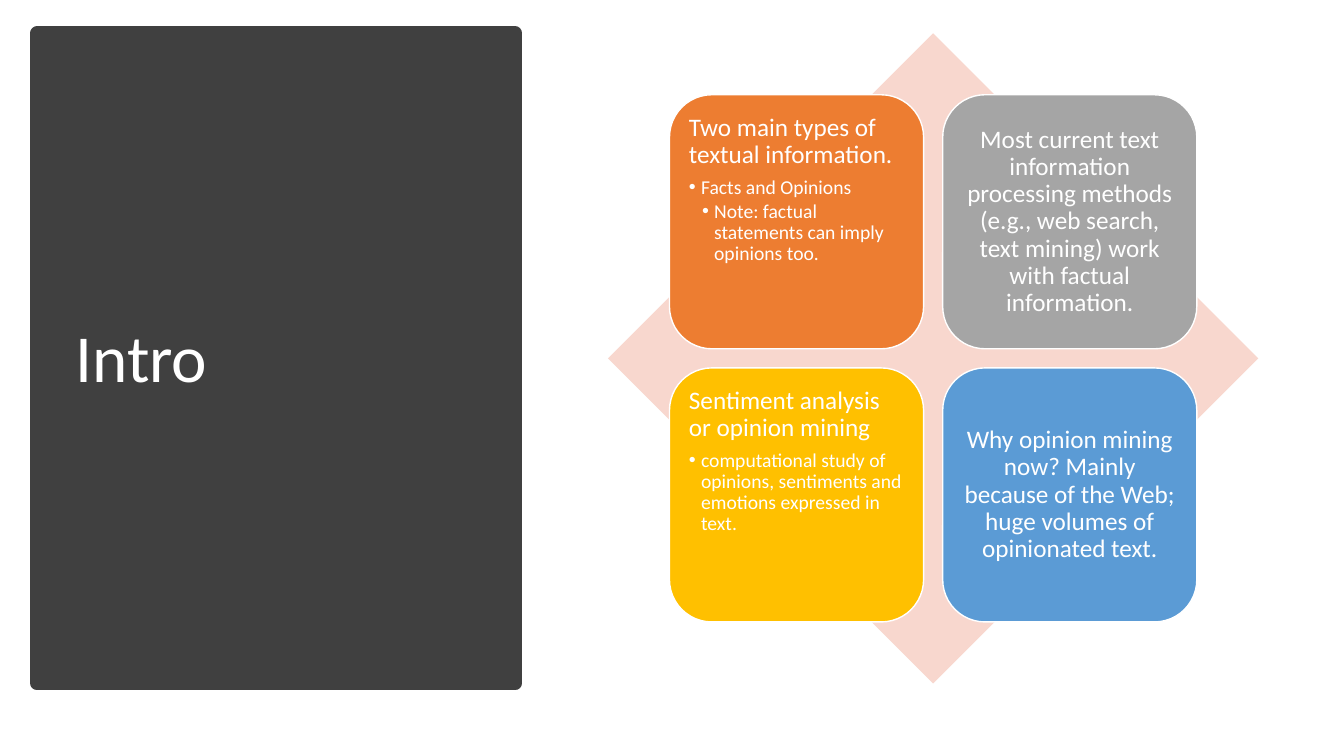
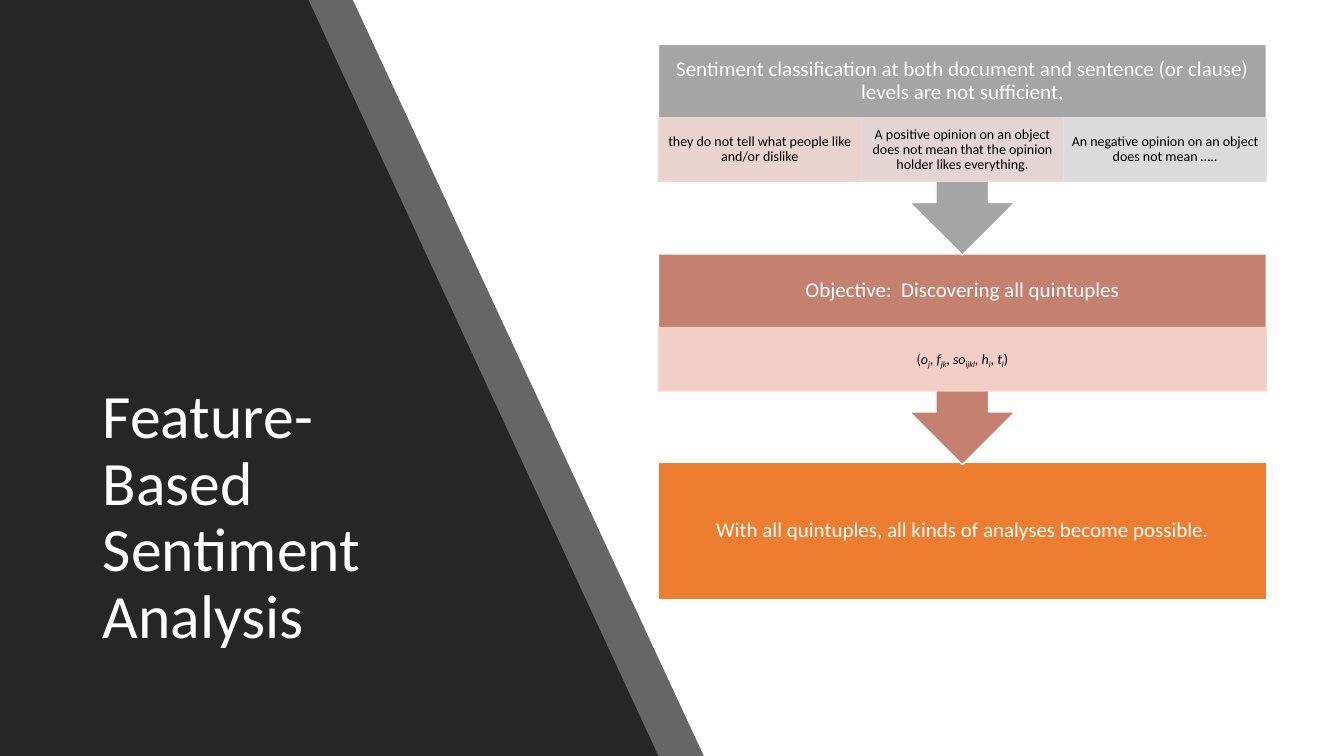
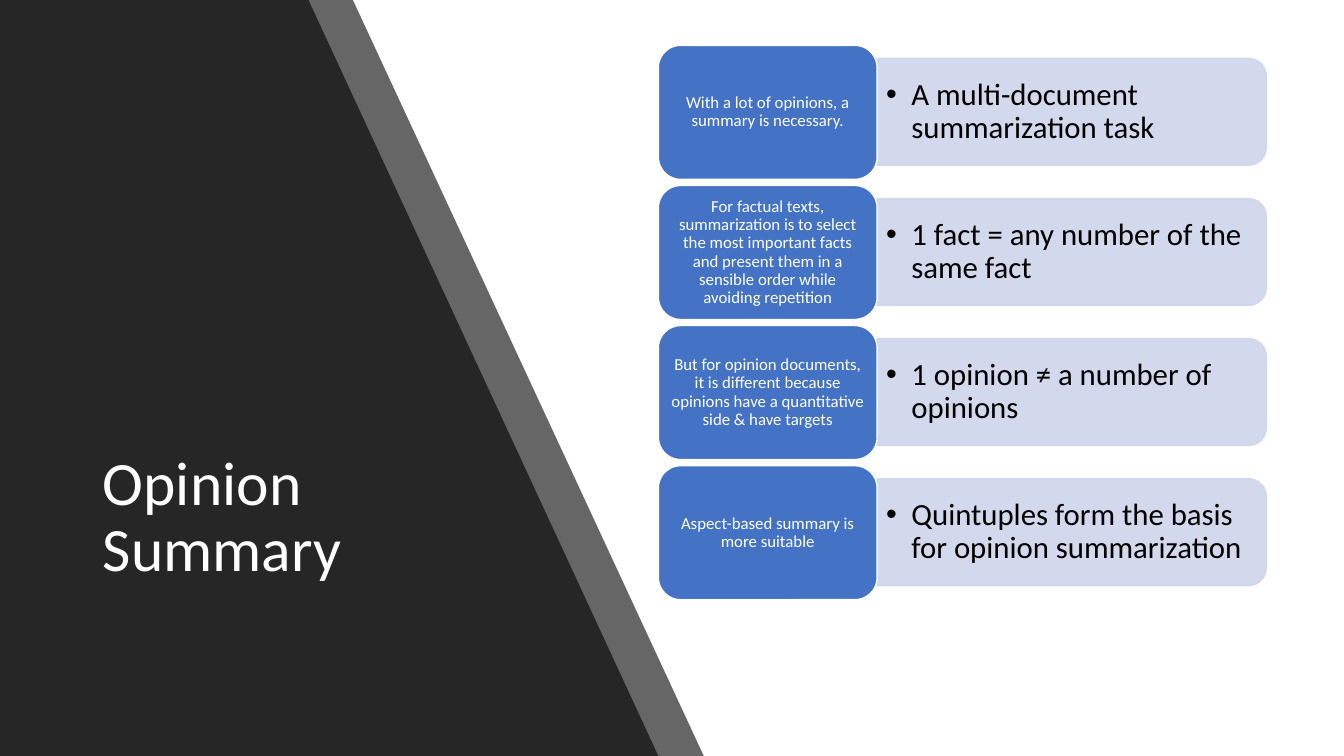
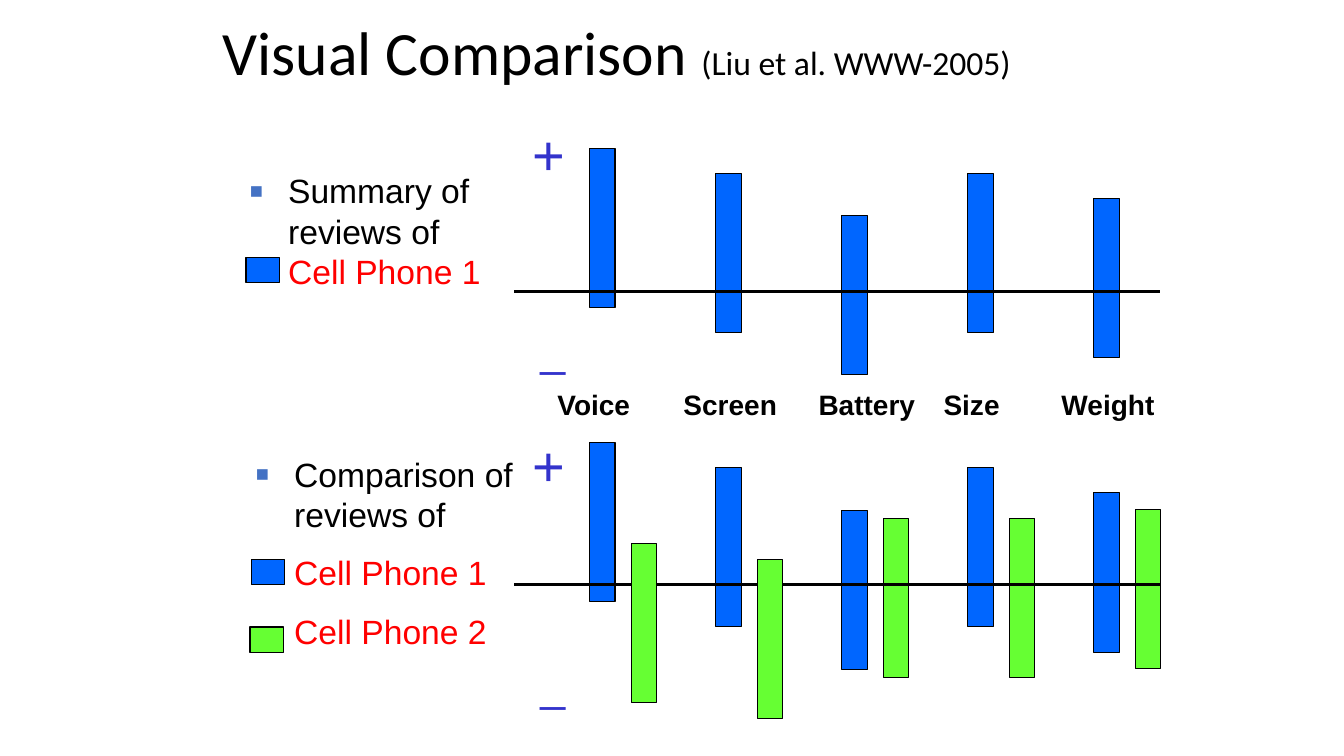
from lxml.etree import SubElement
from pptx import Presentation
from pptx.dml.color import RGBColor
from pptx.enum.shapes import MSO_CONNECTOR, MSO_SHAPE
from pptx.enum.text import MSO_ANCHOR, MSO_AUTO_SIZE, PP_ALIGN
from pptx.oxml.ns import qn
from pptx.util import Pt

PX = 9144  # EMU in one px, 100 px to the inch
WIDTH, HEIGHT = 1333, 750
COLOURS = {
    "white": "FFFFFF", "black": "000000", "panel": "404040", "band": "262626",
    "diamond": "F8D7CE", "orange": "ED7D31", "grey": "A5A5A5", "gold": "FFC000",
    "sky": "5B9BD5", "clay": "C48170", "rose": "F1D8D4", "blush": "E9DBDA",
    "silver": "E1E1E1", "blue": "4472C4", "lavender": "CFD5EA",
    "bar blue": "0066FF", "bar green": "66FF33", "red": "FF0000", "sign": "3333CC",
}


def rgb(name):
    return RGBColor.from_string(COLOURS[name])


class Deck:
    """The shared style and the slide being drawn."""

    def __init__(self):
        self.presentation = Presentation()
        self.presentation.slide_width = WIDTH * PX
        self.presentation.slide_height = HEIGHT * PX
        self.slide = None

    def new_slide(self):
        self.slide = self.presentation.slides.add_slide(self.presentation.slide_layouts[5])

    def title(self, box, runs, size=44, colour="white"):
        title = self.slide.shapes.title
        title.left, title.top, title.width, title.height = (value * PX for value in box)
        self.slide.shapes._spTree.append(title._element)  # in front of the panel
        self.frame(title, (10, 5))
        self.paragraph(title, runs, size, colour)

    def paint(self, shape, fill, line=None, line_width=1, alpha=100):
        shape.shadow.inherit = False
        shape.fill.solid()
        shape.fill.fore_color.rgb = rgb(fill)
        if line:
            shape.line.color.rgb = rgb(line)
            shape.line.width = Pt(line_width)
        else:
            shape.line.fill.background()
        if alpha < 100:
            for colour in shape._element.spPr.iter(qn("a:srgbClr")):
                SubElement(colour, qn("a:alpha"), val=str(alpha * 1000))

    def shape(self, kind, box, fill, line=None, line_width=1, alpha=100):
        shape = self.slide.shapes.add_shape(kind, *(value * PX for value in box))
        self.paint(shape, fill, line, line_width, alpha)
        return shape

    def band(self, bottom, top, alpha=100):
        builder = self.slide.shapes.build_freeform(0, HEIGHT, PX)
        builder.add_line_segments([(bottom, HEIGHT), (top, 0), (0, 0)], close=True)
        self.paint(builder.convert_to_shape(), "band", alpha=alpha)

    def band_slide(self, title):
        self.new_slide()
        self.band(698, 350, alpha=70)
        self.band(653, 306)
        self.title((92, 349, 358, 331), title)

    def line(self, left, right, y):
        line = self.slide.shapes.add_connector(
            MSO_CONNECTOR.STRAIGHT, left * PX, y * PX, right * PX, y * PX)
        line.line.color.rgb = rgb("black")
        line.line.width = Pt(2.25)
        SubElement(line._element.spPr, qn("a:effectLst"))

    def frame(self, shape, margins, anchor=MSO_ANCHOR.MIDDLE, extra_bottom=0):
        frame = shape.text_frame
        frame.word_wrap = True
        frame.auto_size = MSO_AUTO_SIZE.NONE
        frame.vertical_anchor = anchor
        side, end = margins
        frame.margin_left = frame.margin_right = side * PX
        frame.margin_top = end * PX
        frame.margin_bottom = (end + extra_bottom) * PX

    def text_box(self, box, margins=(10, 5), anchor=MSO_ANCHOR.TOP):
        shape = self.slide.shapes.add_textbox(*(value * PX for value in box))
        self.frame(shape, margins, anchor)
        return shape

    def paragraph(self, shape, runs, size, colour="white", font="Calibri", bold=None,
                  align=PP_ALIGN.LEFT, spacing=0.9, before=0, after=0,
                  left=0, hanging=0, bullet=None, bullet_colour=None, bullet_size=100):
        """Add a paragraph; runs is a string or a list of (text, changes)."""
        frame = shape.text_frame
        first = frame.paragraphs[0]
        paragraph = frame.add_paragraph() if first.runs else first
        paragraph.alignment = align
        paragraph.line_spacing = spacing
        paragraph.space_before, paragraph.space_after = Pt(before), Pt(after)
        properties = paragraph._p.get_or_add_pPr()
        properties.set("marL", str(left * PX))
        properties.set("indent", str(-hanging * PX))
        if bullet:
            holder = SubElement(properties, qn("a:buClr"))
            SubElement(holder, qn("a:srgbClr"), val=COLOURS[bullet_colour or colour])
            SubElement(properties, qn("a:buSzPct"), val=str(bullet_size * 1000))
            SubElement(properties, qn("a:buFont"), typeface="Arial")
            SubElement(properties, qn("a:buChar"), char=bullet)
        paragraph.font.name, paragraph.font.size = font, Pt(size)
        paragraph.font.bold = bold
        paragraph.font.color.rgb = rgb(colour)
        for text, changes in [(runs, {})] if isinstance(runs, str) else runs:
            if text == "\n":
                paragraph.add_line_break()
                continue
            run = paragraph.add_run()
            run.text = text
            if "size" in changes:
                run.font.size = Pt(changes["size"])
            if "colour" in changes:
                run.font.color.rgb = rgb(changes["colour"])
            if "italic" in changes:
                run.font.italic = True
            if "subscript" in changes:
                run.font._element.set("baseline", "-25000")

    def centred(self, shape, runs, size, margins, colour="white", extra_bottom=0):
        self.frame(shape, margins, extra_bottom=extra_bottom)
        self.paragraph(shape, runs, size, colour, align=PP_ALIGN.CENTER)


def intro(deck):
    deck.new_slide()
    deck.shape(MSO_SHAPE.RECTANGLE, (37, 33, 474, 645), "panel", "panel", 10)
    deck.title((65, 70, 416, 575), "Intro", 48)
    deck.shape(MSO_SHAPE.DIAMOND, (603, 33, 645, 645), "diamond")
    # Four tiles: colour, heading, bullets
    tiles = [
        ("orange", "Two main types of textual information.",
         ["Facts and Opinions", "Note: factual statements can imply opinions too."]),
        ("grey", "Most current text information processing methods "
         "(e.g., web search, text mining) work with factual information.", []),
        ("gold", "Sentiment analysis or opinion mining",
         ["computational study of opinions, sentiments and emotions expressed in text."]),
        ("sky", "Why opinion mining now? Mainly because of the Web; "
         "huge volumes of opinionated text.", []),
    ]
    for index, (colour, heading, bullets) in enumerate(tiles):
        row, column = divmod(index, 2)
        box = (664 + 271 * column, 94 + 271 * row, 252, 252)
        tile = deck.shape(MSO_SHAPE.ROUNDED_RECTANGLE, box, colour, "white")
        if not bullets:
            deck.centred(tile, heading, 18, (7, 7))
            continue
        deck.frame(tile, (7, 7), MSO_ANCHOR.TOP)
        deck.paragraph(tile, heading, 18, after=6)
        for level, text in enumerate(bullets, 1):
            deck.paragraph(tile, text, 14, after=2, left=level * 12 + level // 2,
                           hanging=12, bullet="•")


def feature_based(deck):
    deck.band_slide("Feature-Based Sentiment Analysis")
    left, width = 653, 603
    # The quintuple, each symbol with its index
    quintuple = [("(", {})]
    for symbol, index in [("o", "j"), ("f", "jk"), ("so", "ijkl"), ("h", "i"), ("t", "l")]:
        quintuple += [(symbol, {"italic": True}),
                      (index, {"italic": True, "subscript": True}),
                      (")" if symbol == "t" else ", ", {})]
    # Last step first, so that each arrow tip lies over the next box
    result = deck.shape(MSO_SHAPE.RECTANGLE, (left, 459, width, 136), "orange", "white")
    deck.centred(result, "With all quintuples, all kinds of analyses become possible.",
                 15, (12, 12))
    steps = [
        (252, "clay", "Objective:  Discovering all quintuples", [("diamond", quintuple)]),
        (44, "grey", "Sentiment classification at both document and sentence "
         "(or clause) levels are not sufficient,",
         [("rose", "they do not tell what people like and/or dislike"),
          ("blush", "A positive opinion on an object does not mean that "
           "the opinion holder likes everything."),
          ("silver", "An negative opinion on an object does not mean …..")]),
    ]
    for top, colour, heading, details in steps:
        callout = deck.shape(MSO_SHAPE.DOWN_ARROW_CALLOUT, (left, top, width, 209),
                             colour, "white")
        deck.centred(callout, heading, 15, (12, 12), extra_bottom=63)
        cell_width = width // len(details)
        for index, (fill, text) in enumerate(details):
            box = (left + index * cell_width, top + 73, cell_width, 63)
            cell = deck.shape(MSO_SHAPE.RECTANGLE, box, fill, fill, alpha=90)
            deck.centred(cell, text, 10, (8, 1), "black")


def opinion_summary(deck):
    deck.band_slide("Opinion Summary")
    rows = [
        ("With a lot of opinions, a summary is necessary.",
         "A multi-document summarization task"),
        ("For factual texts, summarization is to select the most important facts "
         "and present them in a sensible order while avoiding repetition",
         "1 fact = any number of the same fact"),
        ("But for opinion documents, it is different because opinions have "
         "a quantitative side & have targets",
         "1 opinion ≠ a number of opinions"),
        ("Aspect-based summary is more suitable",
         "Quintuples form the basis for opinion summarization"),
    ]
    for index, (heading, detail) in enumerate(rows):
        top = 45 + 139 * index
        # The tab is turned a quarter, so its box stands upright
        tab = deck.shape(MSO_SHAPE.ROUND_2_SAME_RECTANGLE, (1010, top - 127, 106, 386),
                         "lavender", "lavender", alpha=90)
        tab.rotation = 90
        text = deck.text_box((870, top + 18, 380, 96), (9, 5), MSO_ANCHOR.MIDDLE)
        deck.paragraph(text, detail, 22, "black", left=25, hanging=25, bullet="•")
        label = deck.shape(MSO_SHAPE.ROUNDED_RECTANGLE, (653, top, 217, 133), "blue", "white")
        deck.centred(label, heading, 12, (5, 3))


def visual_comparison(deck):
    deck.new_slide()
    deck.title((211, 16, 900, 78),
               [("Visual Comparison ", {}), ("(Liu et al. WWW-2005)", {"size": 24})],
               colour="black")

    def bars(left, tops, colour):
        for index, top in enumerate(tops):
            if top:
                deck.shape(MSO_SHAPE.RECTANGLE, (left + 125 * index, top, 25, 158),
                           colour, "black", 0.75)

    def arial(box, runs, size, colour="black", **style):
        text = deck.text_box(box)
        deck.paragraph(text, runs, size, colour, "Arial", spacing=1, **style)
        return text

    square = dict(left=38, hanging=38, bullet="■", bullet_colour="blue", bullet_size=65)

    # Bars of both plots; the first two green bars cover the axis
    phone_1 = [147, 172, 214, 172, 197]
    phone_2 = [539, 555, 514, 514, 505]
    bars(585, phone_1, "bar blue")
    deck.line(510, 1151, 289)
    bars(626, [0, 0] + phone_2[2:], "bar green")
    bars(585, [top + 292 for top in phone_1], "bar blue")
    deck.line(510, 1151, 580)
    bars(626, phone_2[:2], "bar green")

    # Feature names and signs
    for left, name in [(543, "Voice"), (668, "Screen"), (802, "Battery"),
                       (926, "Size"), (1043, "Weight")]:
        arial((left, 380, 130, 50), name, 20, bold=True)
    for plus_top, minus_top in [(114, 314), (422, 647)]:
        arial((518, plus_top, 75, 77), "+", 40, "sign")
        arial((526, minus_top, 75, 63), "_", 32, "sign")

    # Legends
    arial((238, 164, 300, 131),
          [("Summary of reviews of", {}), ("\n", {}), ("Cell Phone 1", {"colour": "red"})],
          24, **square)
    comparison = arial((244, 445, 317, 212), "Comparison of reviews of", 24, **square)
    for name in ("Cell Phone 1", "Cell Phone 2"):
        deck.paragraph(comparison, name, 24, "red", "Arial", spacing=1, before=13, left=38)
    for left, top, colour in [(244, 255, "bar blue"), (249, 555, "bar blue"),
                              (248, 622, "bar green")]:
        deck.shape(MSO_SHAPE.RECTANGLE, (left, top, 33, 25), colour, "black", 0.75)


def main():
    deck = Deck()
    for build in (intro, feature_based, opinion_summary, visual_comparison):
        build(deck)
    deck.presentation.save("out.pptx")


if __name__ == "__main__":
    main()
